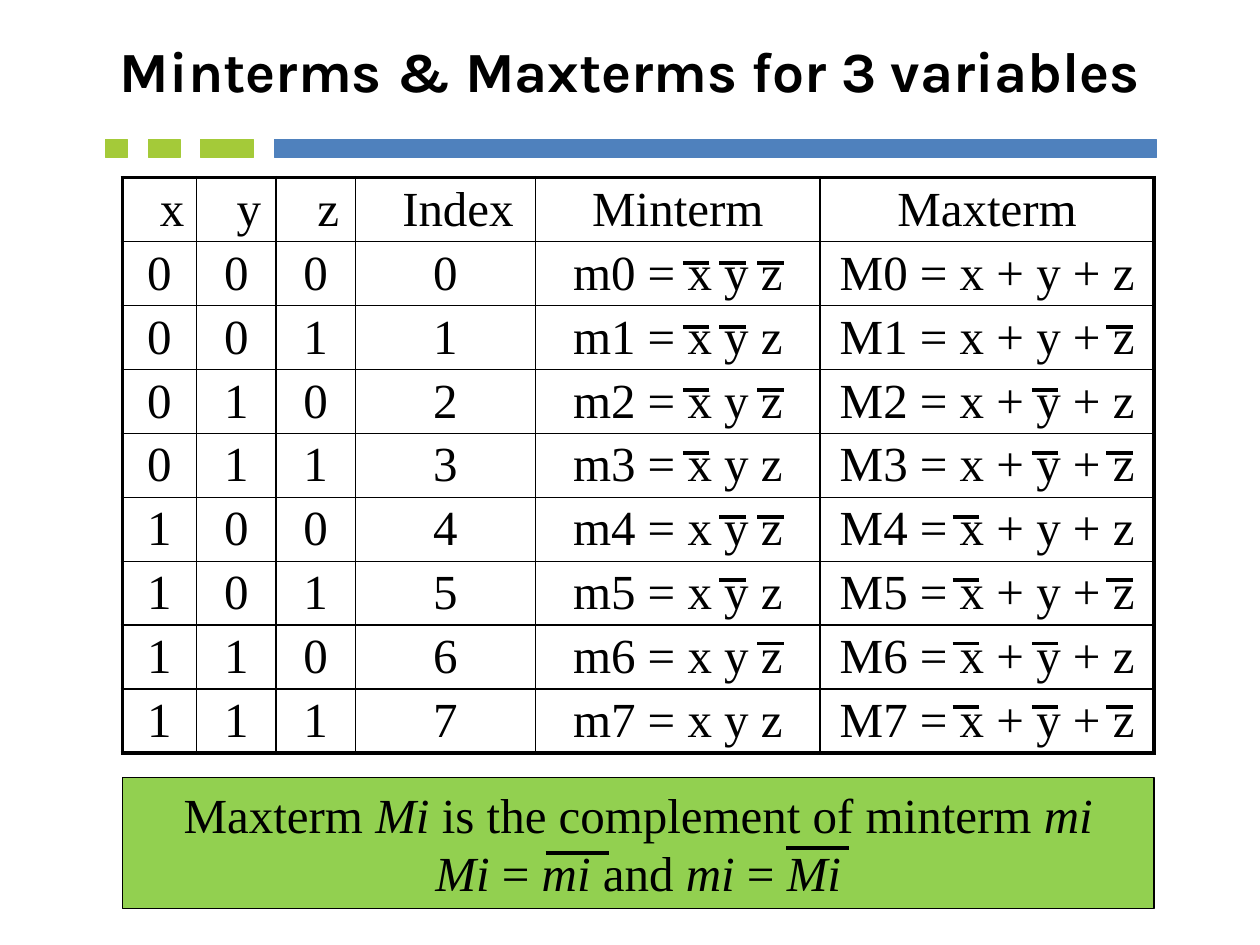
from itertools import product

from lxml import etree
from pptx import Presentation
from pptx.dml.color import RGBColor
from pptx.enum.shapes import MSO_CONNECTOR, MSO_SHAPE
from pptx.enum.text import MSO_ANCHOR, PP_ALIGN
from pptx.oxml.ns import qn
from pptx.util import Inches, Pt

STRAIGHT = MSO_CONNECTOR.STRAIGHT
RECTANGLE = MSO_SHAPE.RECTANGLE
MIDDLE = MSO_ANCHOR.MIDDLE
CENTER = PP_ALIGN.CENTER

COLORS = {"ink": "000000", "blue": "4F81BD", "lime": "A4CA39", "green": "92D050"}
SERIF = "Times New Roman"
TITLE = "Minterms & Maxterms for 3 variables"
HEADERS = ["x", "y", "z", "Index", "Minterm", "Maxterm"]
BITS = list(product((0, 1), repeat=3))
ROWS = [
    [*map(str, bits), str(index), f"m{index} = x y z", f"M{index} = x + y + z"]
    for index, bits in enumerate(BITS)
]
NOTE = [
    [("Maxterm ", False), ("Mi", True), (" is the complement of minterm ", False), ("mi", True)],
    [("Mi ", True), ("=", False), (" mi ", True), ("and ", False),
     ("mi", True), (" = ", False), ("Mi", True)],
]
NOTE_BARS = [(4.33, 6.77), (6.24, 6.73)]
NOTE_BAR_WIDTH = 0.5

STRIPES = [(0.84, 0.17, "lime"), (1.18, 0.25, "lime"), (1.59, 0.42, "lime"), (2.18, 7, "blue")]
COLUMN_EDGES = [0.97, 1.56, 2.19, 2.82, 4.25, 6.51, 9.16]
TABLE_TOP, TABLE_HEIGHT = 1.41, 4.57
INDENTED_COLUMNS = 4
THICK, THIN = 2.25, 1

OVERBAR_WIDTH = 0.21
OVERBAR_TOP, OVERBAR_STEP = 2.09, 3.52 / 7
OVERBARS = {0: (5.42, 5.71, 6.01), 1: (7.56, 8.19, 8.78)}


def color(name):
    return RGBColor.from_string(COLORS[name])


def add_span(para, text, size=28, font=SERIF, bold=False, italic=False):
    span = para.add_run()
    span.text = text
    span.font.size = Pt(size)
    span.font.name = font
    span.font.bold = bold
    span.font.italic = italic
    span.font.color.rgb = color("ink")


def add_box(slide, left, top, width, height, fill, line):
    box = slide.shapes.add_shape(
        RECTANGLE, Inches(left), Inches(top), Inches(width), Inches(height))
    box.shadow.inherit = False
    box.fill.solid()
    box.fill.fore_color.rgb = color(fill)
    box.line.color.rgb = color(line)
    box.line.width = Pt(0.75)
    return box


def add_overbar(slide, left, top, width):
    bar = slide.shapes.add_connector(
        STRAIGHT, Inches(left), Inches(top), Inches(left + width), Inches(top))
    bar.line.color.rgb = color("ink")
    bar.line.width = Pt(THICK)
    etree.SubElement(bar.element.spPr, qn("a:effectLst"))


def set_borders(cell, widths):
    properties = cell._tc.get_or_add_tcPr()
    for side, width in widths.items():
        line = etree.SubElement(properties, qn(f"a:ln{side}"), w=str(Pt(width)))
        fill = etree.SubElement(line, qn("a:solidFill"))
        etree.SubElement(fill, qn("a:srgbClr"), val=COLORS["ink"])


def add_truth_table(slide):
    content = [HEADERS, *ROWS]
    row_count, column_count = len(content), len(HEADERS)
    table = slide.shapes.add_table(
        row_count, column_count, Inches(COLUMN_EDGES[0]), Inches(TABLE_TOP),
        Inches(COLUMN_EDGES[-1] - COLUMN_EDGES[0]), Inches(TABLE_HEIGHT)).table
    table.first_row = False
    table.horz_banding = False
    for column, left, right in zip(table.columns, COLUMN_EDGES, COLUMN_EDGES[1:]):
        column.width = Inches(right - left)
    for r, values in enumerate(content):
        table.rows[r].height = Inches(TABLE_HEIGHT / row_count)
        for c, value in enumerate(values):
            cell = table.cell(r, c)
            indented = r == 0 and c < INDENTED_COLUMNS
            cell.margin_left = Inches(0.2 if indented else 0)
            cell.margin_right = cell.margin_top = cell.margin_bottom = 0
            cell.vertical_anchor = MIDDLE
            set_borders(cell, {
                "L": THICK if c == 0 else THIN,
                "R": THICK if c == column_count - 1 else THIN,
                "T": THICK if r == 0 else THIN,
                "B": THICK if r == row_count - 1 else THIN,
            })
            cell.fill.background()
            para = cell.text_frame.paragraphs[0]
            para.alignment = CENTER
            add_span(para, value)


def add_note(slide):
    left, right = COLUMN_EDGES[0], COLUMN_EDGES[-1]
    box = add_box(slide, left, 6.17, right - left, 1.04, "green", "ink")
    frame = box.text_frame
    frame.word_wrap = True
    frame.vertical_anchor = MIDDLE
    for number, spans in enumerate(NOTE):
        para = frame.add_paragraph() if number else frame.paragraphs[0]
        para.alignment = CENTER
        for text, italic in spans:
            add_span(para, text, italic=italic)
    for bar_left, bar_top in NOTE_BARS:
        add_overbar(slide, bar_left, bar_top, NOTE_BAR_WIDTH)


def main():
    deck = Presentation()
    deck.slide_width, deck.slide_height = Inches(10), Inches(7.5)
    slide = deck.slides.add_slide(deck.slide_layouts[5])

    title = slide.shapes.title
    title.left, title.top = Inches(0.5), Inches(0.03)
    title.width, title.height = Inches(9), Inches(1.05)
    title.text_frame.vertical_anchor = MIDDLE
    para = title.text_frame.paragraphs[0]
    para.alignment = CENTER
    add_span(para, TITLE, size=32.4, font="Karla", bold=True)

    for left, width, name in STRIPES:
        add_box(slide, left, 1.11, width, 0.14, name, name)

    add_truth_table(slide)
    for row, bits in enumerate(BITS):
        for negated_bit, lefts in OVERBARS.items():
            for bit, left in zip(bits, lefts):
                if bit == negated_bit:
                    add_overbar(slide, left, OVERBAR_TOP + row * OVERBAR_STEP, OVERBAR_WIDTH)
    add_note(slide)
    deck.save("out.pptx")


if __name__ == "__main__":
    main()
